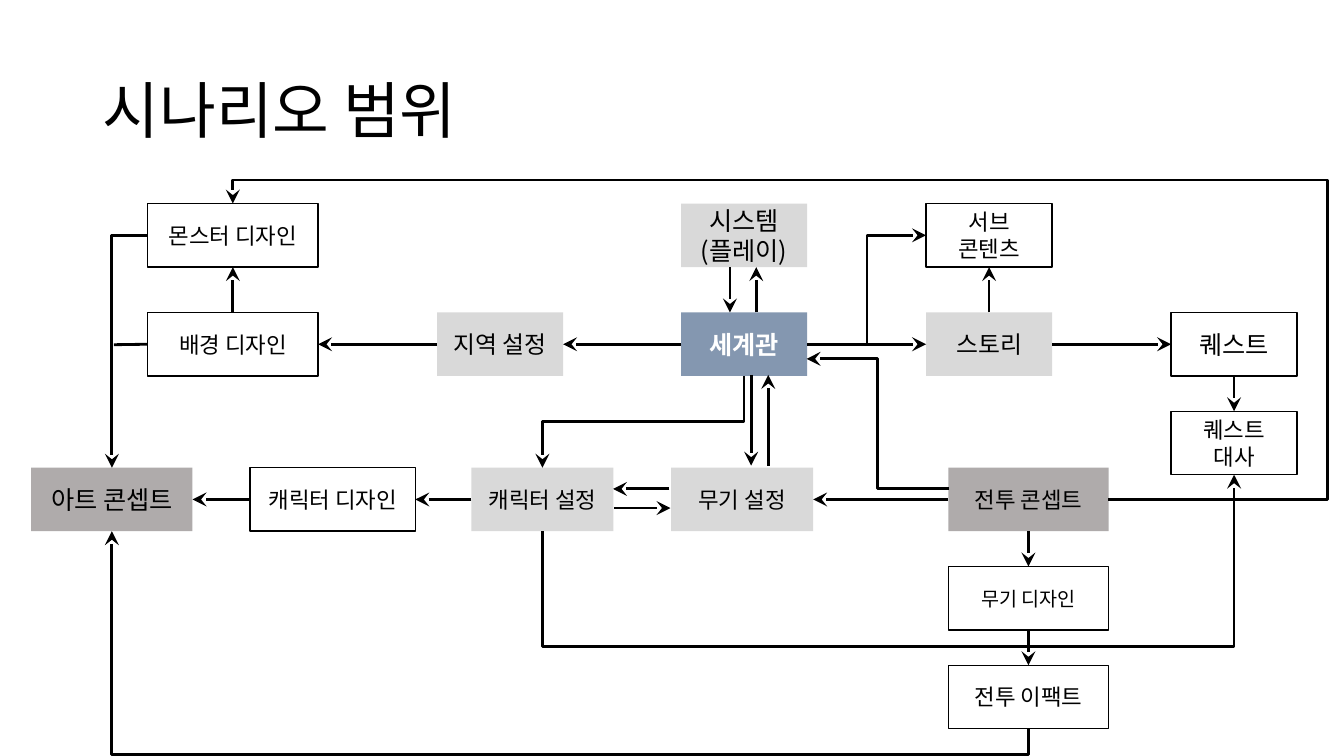
import pptx
import pptx.util
import pptx.dml.color
import pptx.enum.shapes
import pptx.enum.text
import pptx.oxml.ns
from lxml import etree

FONT = "Noto Sans CJK KR"
BLACK, WHITE = "000000", "FFFFFF"
LIGHT, DARK, BLUE = "D9D9D9", "AFABAB", "8497B0"
Inches, Pt, qn = pptx.util.Inches, pptx.util.Pt, pptx.oxml.ns.qn
TOP, LEFT, BOTTOM, RIGHT = range(4)

presentation = pptx.Presentation()
presentation.slide_width = Inches(13.33)
presentation.slide_height = Inches(7.5)
slide = presentation.slides.add_slide(presentation.slide_layouts[6])


def color(hex_code):
    return pptx.dml.color.RGBColor.from_string(hex_code)


def write(shape, text, size, hex_code=BLACK, bold=False, align="CENTER"):
    frame = shape.text_frame
    frame.word_wrap = True
    frame.vertical_anchor = pptx.enum.text.MSO_ANCHOR.MIDDLE
    for index, line in enumerate(text.split("\n")):
        paragraph = frame.paragraphs[0] if index == 0 else frame.add_paragraph()
        paragraph.alignment = pptx.enum.text.PP_ALIGN[align]
        run = paragraph.add_run()
        run.text = line
        run.font.size = Pt(size)
        run.font.bold = bold
        run.font.color.rgb = color(hex_code)
        run.font.name = FONT
        etree.SubElement(run.font._element, qn("a:ea"), typeface=FONT)


# Title
title = slide.shapes.add_textbox(Inches(0.92), Inches(0.4), Inches(11.5), Inches(1.45))
write(title, "시나리오 범위", 44, align="LEFT")
title.text_frame.paragraphs[0].line_spacing = 0.9

# Grid: column centres, row tops and a common box height
COLUMN = dict(art=1.11, scenery=2.31, figure=3.3, region=4.96, character=5.38,
              weapon=7.36, world=7.38, story=9.81, battle=10.2, quest=12.24)
ROW = [2.02, 3.1, 4.08, 4.64, 5.62, 6.6]
BOX_HEIGHT = 0.63

# Boxes: text, column, row, width, font size, fill (None means outlined)
BOXES = [
    ("아트 콘셉트", "art", 3, 1.6, 18, DARK),
    ("시스템\n(플레이)", "world", 0, 1.25, 18, LIGHT),
    ("세계관", "world", 1, 1.25, 18, BLUE),
    ("지역 설정", "region", 1, 1.25, 17, LIGHT),
    ("캐릭터 설정", "character", 3, 1.41, 16, LIGHT),
    ("서브\n콘텐츠", "story", 0, 1.25, 16, None),
    ("퀘스트", "quest", 1, 1.25, 18, None),
    ("퀘스트\n대사", "quest", 2, 1.25, 16, None),
    ("배경 디자인", "scenery", 1, 1.69, 16, None),
    ("몬스터 디자인", "scenery", 0, 1.69, 16, None),
    ("전투 콘셉트", "battle", 3, 1.59, 16, DARK),
    ("무기 디자인", "battle", 4, 1.59, 14, None),
    ("전투 이팩트", "battle", 5, 1.59, 16, None),
    ("캐릭터 디자인", "figure", 3, 1.64, 16, None),
    ("무기 설정", "weapon", 3, 1.41, 16, LIGHT),
    ("스토리", "story", 1, 1.25, 17, LIGHT),
]
boxes = {}
for text, column, row, width, size, fill in BOXES:
    shape = slide.shapes.add_shape(
        pptx.enum.shapes.MSO_SHAPE.RECTANGLE, Inches(COLUMN[column] - width / 2),
        Inches(ROW[row]), Inches(width), Inches(BOX_HEIGHT))
    shape.shadow.inherit = False
    if fill:
        shape.fill.solid()
        shape.fill.fore_color.rgb = color(fill)
        shape.line.fill.background()
    else:
        shape.fill.background()
        shape.line.color.rgb = color(BLACK)
        shape.line.width = Pt(1)
    write(shape, text, size, WHITE if fill == BLUE else BLACK, fill == BLUE)
    boxes[text.replace("\n", " ")] = shape

# Links: an end is (box, side) or a free point (x, y)
STRAIGHT = [
    (("배경 디자인", TOP), ("몬스터 디자인", BOTTOM)),
    (("무기 디자인", BOTTOM), ("전투 이팩트", TOP)),
    (("전투 콘셉트", BOTTOM), ("무기 디자인", TOP)),
    (("지역 설정", LEFT), ("배경 디자인", RIGHT)),
    (("세계관", LEFT), ("지역 설정", RIGHT)),
    (("세계관", RIGHT), ("스토리", LEFT)),
    (("스토리", RIGHT), ("퀘스트", LEFT)),
    (("스토리", TOP), ("서브 콘텐츠", BOTTOM)),
    (("전투 콘셉트", LEFT), ("무기 설정", RIGHT)),
    (("캐릭터 설정", LEFT), ("캐릭터 디자인", RIGHT)),
    (("캐릭터 디자인", LEFT), ("아트 콘셉트", RIGHT)),
    (("퀘스트", BOTTOM), ("퀘스트 대사", TOP)),
    ((7.5, 3.1), (7.5, 2.65)),
    ((7.24, 2.65), (7.24, 3.1)),
    ((7.62, 4.62), (7.62, 3.72)),
    ((7.45, 3.72), (7.45, 4.62)),
    ((6.64, 4.85), (6.08, 4.85)),
    ((6.09, 5.04), (6.65, 5.04)),
    (("배경 디자인", LEFT), (1.13, 3.42)),
]
# Bent links add: preset, quarter turns, flips, bend positions
BENT = [
    (("전투 콘셉트", RIGHT), ("몬스터 디자인", TOP), "bentConnector4", 0, "HV", [-0.25, 1.08]),
    ((9.41, 4.85), (8, 3.56), "bentConnector3", 2, "", [0.5]),
    ((8.6, 3.42), ("서브 콘텐츠", LEFT), "bentConnector2", 1, "HV", []),
    (("세계관", BOTTOM), ("캐릭터 설정", TOP), "bentConnector3", 1, "", [0.5]),
    (("캐릭터 설정", BOTTOM), ("퀘스트 대사", BOTTOM), "bentConnector3", 1, "HV", [-2.05]),
    (("전투 이팩트", BOTTOM), ("아트 콘셉트", BOTTOM), "bentConnector3", 1, "H", [-0.13]),
    (("몬스터 디자인", LEFT), ("아트 콘셉트", TOP), "bentConnector2", 2, "V", []),
]
for start, end, *bend in STRAIGHT + BENT:
    kind = pptx.enum.shapes.MSO_CONNECTOR["ELBOW" if bend else "STRAIGHT"]
    free = [point if point[0] not in boxes else (0, 0) for point in (start, end)]
    connector = slide.shapes.add_connector(
        kind, *[Inches(value) for point in free for value in point])
    if start[0] in boxes:
        connector.begin_connect(boxes[start[0]], start[1])
    if end[0] in boxes:
        connector.end_connect(boxes[end[0]], end[1])
    connector.line.color.rgb = color(BLACK)
    connector.line.width = Pt(2)
    properties = connector._element.spPr
    if end != (1.13, 3.42):
        etree.SubElement(properties.find(qn("a:ln")), qn("a:tailEnd"),
                         type="stealth", w="lg", len="lg")
    etree.SubElement(properties, qn("a:effectLst"))
    if not bend:
        continue

    # Turn the frame about its centre and place the bends
    preset, turns, flips, positions = bend
    left, top = connector.left, connector.top
    width, height = connector.width, connector.height
    if turns % 2:
        left, top = left + (width - height) // 2, top + (height - width) // 2
        width, height = height, width
    connector.left, connector.top = left, top
    connector.width, connector.height = width, height
    frame = properties.find(qn("a:xfrm"))
    frame.set("rot", str(turns * 90 * 60000))
    for axis in "HV":
        frame.set("flip" + axis, str(int(axis in flips)))
    geometry = properties.find(qn("a:prstGeom"))
    geometry.set("prst", preset)
    guides = geometry.find(qn("a:avLst"))
    for number, position in enumerate(positions, 1):
        etree.SubElement(guides, qn("a:gd"), name=f"adj{number}",
                         fmla=f"val {round(position * 100000)}")

presentation.save("out.pptx")
